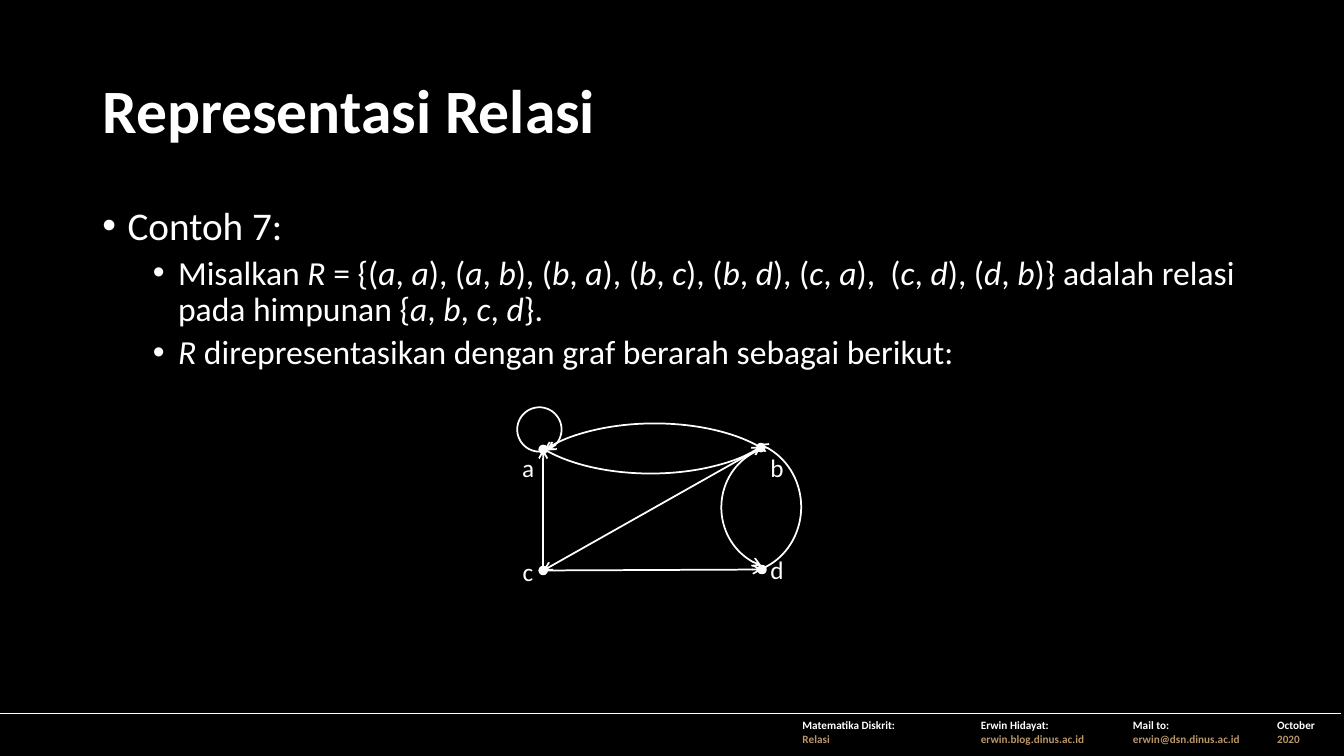
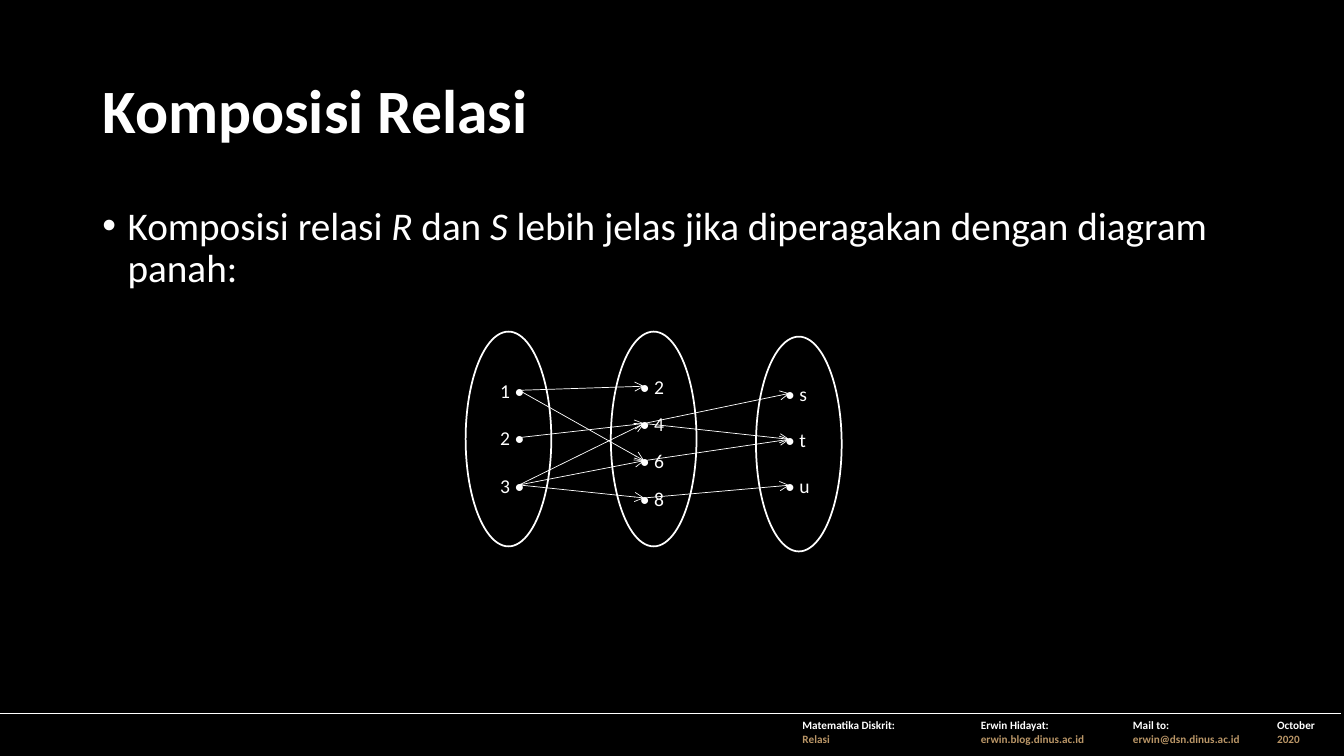
from lxml import etree
from pptx import Presentation
from pptx.dml.color import RGBColor
from pptx.enum.shapes import MSO_CONNECTOR, MSO_SHAPE
from pptx.enum.text import MSO_ANCHOR, MSO_AUTO_SIZE, PP_ALIGN
from pptx.oxml.ns import qn
from pptx.util import Pt

ARC, OVAL = MSO_SHAPE.ARC, MSO_SHAPE.OVAL
STRAIGHT = MSO_CONNECTOR.STRAIGHT
LEFT, CENTER, RIGHT = PP_ALIGN.LEFT, PP_ALIGN.CENTER, PP_ALIGN.RIGHT
MIDDLE, TOP = MSO_ANCHOR.MIDDLE, MSO_ANCHOR.TOP
NO_FIT = MSO_AUTO_SIZE.NONE

COLORS = {"page": "000000", "text": "FFFFFF", "accent": "BA9667"}
FONT = "Calibri"
PLAIN_TABLE = "{2D5ABB26-0587-4C30-8999-92F81FD0307C}"

PAGE_SIZE = (960, 540)
TITLE_BOX = (66, 28.8, 828, 104.4)
BODY_BOX = (66, 144, 828, 342.7)
FOOTER_BOX = (0, 509.8, 958, 29.5)
FOOTER_WIDTHS = (566, 127.4, 108.7, 103, 52.9)
FOOTER_TEXTS = (
    ("Matematika Diskrit:", "Relasi"),
    ("Erwin Hidayat:", "erwin.blog.dinus.ac.id"),
    ("Mail to:", "erwin@dsn.dinus.ac.id"),
    ("October", "2020"),
)
LEVELS = (
    {"size": 28, "margin": 18, "before": 10},
    {"size": 24, "margin": 54, "before": 5},
)

GRAPH_ORIGIN = (360, 249)
LABEL_SIZE = (33, 29)
DOT_SIZE = 5.8
# Each node: centre, then label offset from the centre
NODES = {
    "a": ((28, 72), (-27.3, -1.3)),
    "b": ((183.5, 70.7), (-5, 0)),
    "c": ((28, 158.5), (-27.3, -13.7)),
    "d": ((184.3, 157.8), (-5.7, -14.4)),
}
STRAIGHT_EDGES = ("cd", "ca", "bc")
LOOP, BOW = (162, 156.43), (12.25, 97.25)
# Each curved edge: box, rotation, flip, start and end of the arc
CURVED_EDGES = (
    ((9.4, 41.9, 31.7, 31.7), 169.7, None, LOOP),
    ((120.2, 68.5, 95, 89.3), 270, "flipH", BOW),
    ((153.4, 71.4, 87.8, 84.2), 270, "flipV", BOW),
    ((11.5, 53.4, 192.2, 89.3), 180, "flipH", BOW),
    ((8.6, 0, 192.2, 89.3), 180, "flipV", BOW),
)

SETS_ORIGIN = (332.6, 236.9)
SET_PITCH = 103.7
SET_SIZE = (61.2, 153.4)
# Label and arrow positions are relative to the oval of the set
SETS = (
    {"members": "123", "top": 0, "label": (9.4, 30.2, 39.6, 24.5),
     "step": 33.8, "align": RIGHT, "anchor": 38.2},
    {"members": "2468", "top": 0, "label": (13.7, 27.3, 73.4, 24.5),
     "step": 26.6, "align": LEFT, "anchor": 23.8},
    {"members": "stu", "top": 3.6, "label": (13.7, 32.4, 73.4, 24.5),
     "step": 32.8, "align": LEFT, "anchor": 23.8},
)
ARROW_DROP = 11.7
# One tuple of pairs for each gap between neighbouring sets
RELATIONS = (("12", "16", "34", "24", "38", "36"), ("4s", "4t", "6t", "8u"))


def points(values):
    return [Pt(value) for value in values]


def shifted(origin, box):
    """Move a point or box from its region's origin to the page."""
    return (origin[0] + box[0], origin[1] + box[1], *box[2:])


def rgb(name):
    return RGBColor.from_string(COLORS[name])


def add_span(para, text, size, color="text", **formats):
    span = para.add_run()
    span.text = text
    formats = {"name": FONT, "size": Pt(size), **formats}
    for key, value in formats.items():
        setattr(span.font, key, value)
    span.font.color.rgb = rgb(color)


def add_marked_text(para, text, size):
    """Add text in which asterisks enclose italic parts."""
    for index, part in enumerate(text.split("*")):
        if part:
            add_span(para, part, size, italic=index % 2 == 1)


def set_line(shape, width, arrow=False):
    shape.line.color.rgb = rgb("text")
    shape.line.width = Pt(width)
    if arrow:
        outline = shape.line._get_or_add_ln()
        etree.SubElement(outline, qn("a:tailEnd"), type="arrow")


def add_arrow(shapes, start, end, width):
    arrow = shapes.add_connector(STRAIGHT, *points((*start, *end)))
    set_line(arrow, width, arrow=True)
    etree.SubElement(arrow._element.spPr, qn("a:effectLst"))


def add_outline(shapes, kind, box, width, arrow=False):
    shape = shapes.add_shape(kind, *points(box))
    shape.shadow.inherit = False
    shape.fill.background()
    set_line(shape, width, arrow)
    return shape


def add_label(shapes, box, text, size, align):
    frame = shapes.add_textbox(*points(box)).text_frame
    frame.word_wrap = True
    para = frame.paragraphs[0]
    para.alignment = align
    add_span(para, text, size)


def place(shape, box):
    for key, value in zip(("left", "top", "width", "height"), points(box)):
        setattr(shape, key, value)


def set_up_deck():
    deck = Presentation()
    deck.slide_width, deck.slide_height = points(PAGE_SIZE)
    fill = deck.slide_master.background.fill
    fill.solid()
    fill.fore_color.rgb = rgb("page")
    return deck


def add_title(page, text):
    title = page.shapes.title
    place(title, TITLE_BOX)
    frame = title.text_frame
    frame.vertical_anchor = MIDDLE
    frame.auto_size = NO_FIT
    para = frame.paragraphs[0]
    para.alignment = LEFT
    para.line_spacing = 0.9
    add_span(para, text, 44, bold=True)


def add_body(page, items):
    body = page.placeholders[1]
    place(body, BODY_BOX)
    frame = body.text_frame
    frame.auto_size = NO_FIT
    frame.vertical_anchor = TOP
    for index, (level, text) in enumerate(items):
        para = frame.add_paragraph() if index else frame.paragraphs[0]
        style = LEVELS[level]
        para.level = level
        para.line_spacing = 0.9
        para.space_before = Pt(style["before"] if index else 0)
        props = para._p.get_or_add_pPr()
        props.set("marL", str(Pt(style["margin"])))
        props.set("indent", str(Pt(-18)))
        etree.SubElement(props, qn("a:buFont"), typeface="Arial")
        etree.SubElement(props, qn("a:buChar"), char="•")
        add_marked_text(para, text, style["size"])


def add_top_border(cell):
    border = etree.Element(qn("a:lnT"), w=str(Pt(1)))
    fill = etree.SubElement(border, qn("a:solidFill"))
    etree.SubElement(fill, qn("a:srgbClr"), val=COLORS["text"])
    cell._tc.get_or_add_tcPr().insert(0, border)


def add_footer(page):
    count = len(FOOTER_WIDTHS)
    table = page.shapes.add_table(1, count, *points(FOOTER_BOX)).table
    table.first_row = table.horz_banding = False
    table._tbl.tblPr.find(qn("a:tableStyleId")).text = PLAIN_TABLE
    for column, width in zip(table.columns, FOOTER_WIDTHS):
        column.width = Pt(width)
    for cell, lines in zip(table.rows[0].cells, ((), *FOOTER_TEXTS)):
        cell.fill.background()
        add_top_border(cell)
        frame = cell.text_frame
        for index, (text, color) in enumerate(zip(lines, ("text", "accent"))):
            para = frame.add_paragraph() if index else frame.paragraphs[0]
            add_span(para, text, 8, color, bold=True)


def add_page(deck, title, items):
    page = deck.slides.add_slide(deck.slide_layouts[1])
    add_footer(page)
    add_title(page, title)
    add_body(page, items)
    return page


def add_directed_graph(page, origin):
    shapes = page.shapes.add_group_shape().shapes
    centers = {name: shifted(origin, node[0]) for name, node in NODES.items()}
    for start, end in STRAIGHT_EDGES:
        add_arrow(shapes, centers[start], centers[end], 1.25)
    for box, rotation, flip, angles in CURVED_EDGES:
        arc = add_outline(shapes, ARC, shifted(origin, box), 1.25, arrow=True)
        arc.rotation = rotation
        arc.adjustments[0], arc.adjustments[1] = angles
        if flip:
            arc._element.spPr.xfrm.set(flip, "1")
    for name, (_, offset) in NODES.items():
        corner = shifted(centers[name], (-DOT_SIZE / 2, -DOT_SIZE / 2))
        dot = add_outline(shapes, OVAL, (*corner, DOT_SIZE, DOT_SIZE), 1)
        dot.fill.solid()
        dot.fill.fore_color.rgb = rgb("text")
        label_box = shifted(centers[name], (*offset, *LABEL_SIZE))
        add_label(shapes, label_box, name, 18, CENTER)


def add_arrow_diagram(page, origin):
    shapes = page.shapes.add_group_shape().shapes
    anchors = []
    for index, group in enumerate(SETS):
        corner = shifted(origin, (index * SET_PITCH, group["top"]))
        add_outline(shapes, OVAL, (*corner, *SET_SIZE), 1.25)
        left, top, width, height = group["label"]
        # The label of the last set is measured from the diagram's top
        corner = (corner[0], origin[1])
        ends = {}
        for row, member in enumerate(group["members"]):
            y = top + row * group["step"]
            text = f"{member} •" if group["align"] == RIGHT else f"• {member}"
            label_box = shifted(corner, (left, y, width, height))
            add_label(shapes, label_box, text, 14, group["align"])
            ends[member] = shifted(corner, (group["anchor"], y + ARROW_DROP))
        anchors.append(ends)
    for starts, ends, pairs in zip(anchors, anchors[1:], RELATIONS):
        for start, end in pairs:
            add_arrow(shapes, starts[start], ends[end], 0.5)


def main():
    deck = set_up_deck()
    page = add_page(deck, "Representasi Relasi", (
        (0, "Contoh 7:"),
        (1, "Misalkan *R* = {(*a*, *a*), (*a*, *b*), (*b*, *a*), (*b*, *c*), "
            "(*b*, *d*), (*c*, *a*),  (*c*, *d*), (*d*, *b*)} adalah relasi "
            "pada himpunan {*a*, *b*, *c*, *d*}."),
        (1, "*R* direpresentasikan dengan graf berarah sebagai berikut:"),
    ))
    add_directed_graph(page, GRAPH_ORIGIN)
    page = add_page(deck, "Komposisi Relasi", (
        (0, "Komposisi relasi *R* dan *S* lebih jelas jika diperagakan "
            "dengan diagram panah:"),
    ))
    add_arrow_diagram(page, SETS_ORIGIN)
    deck.save("out.pptx")


if __name__ == "__main__":
    main()
